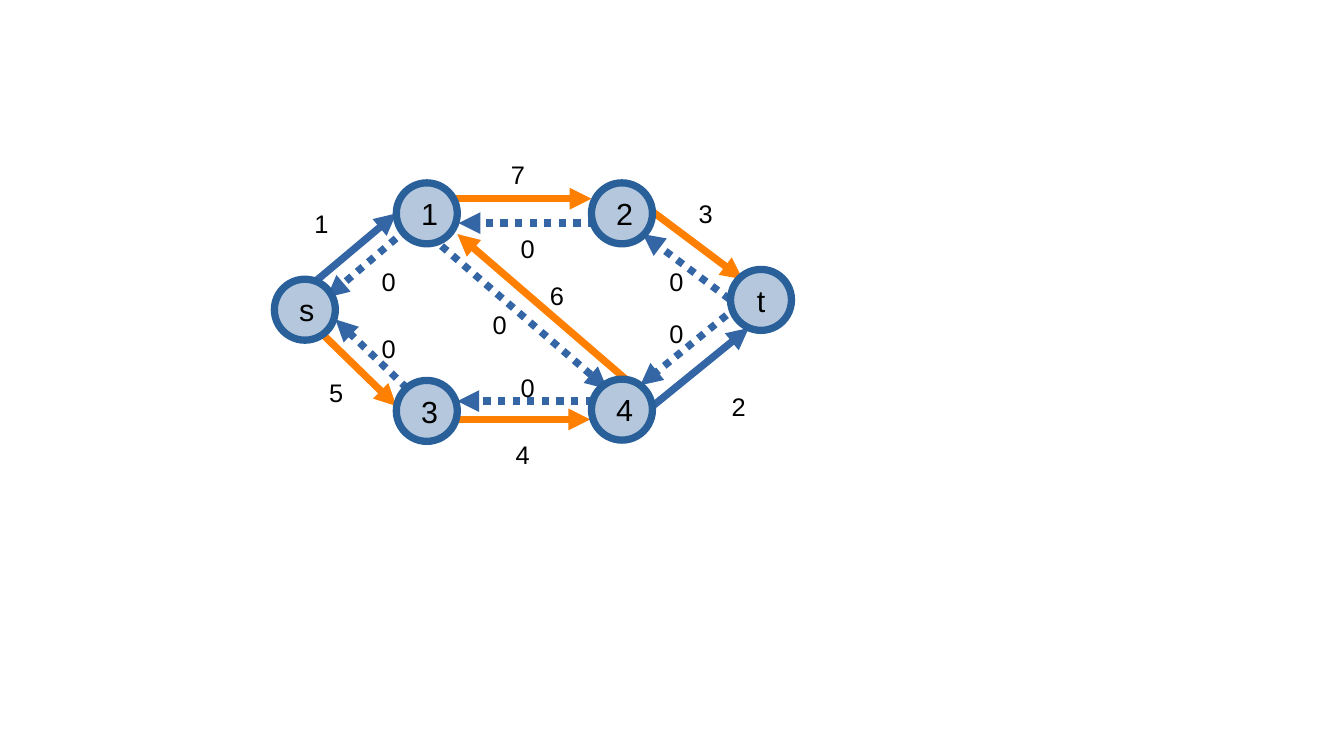
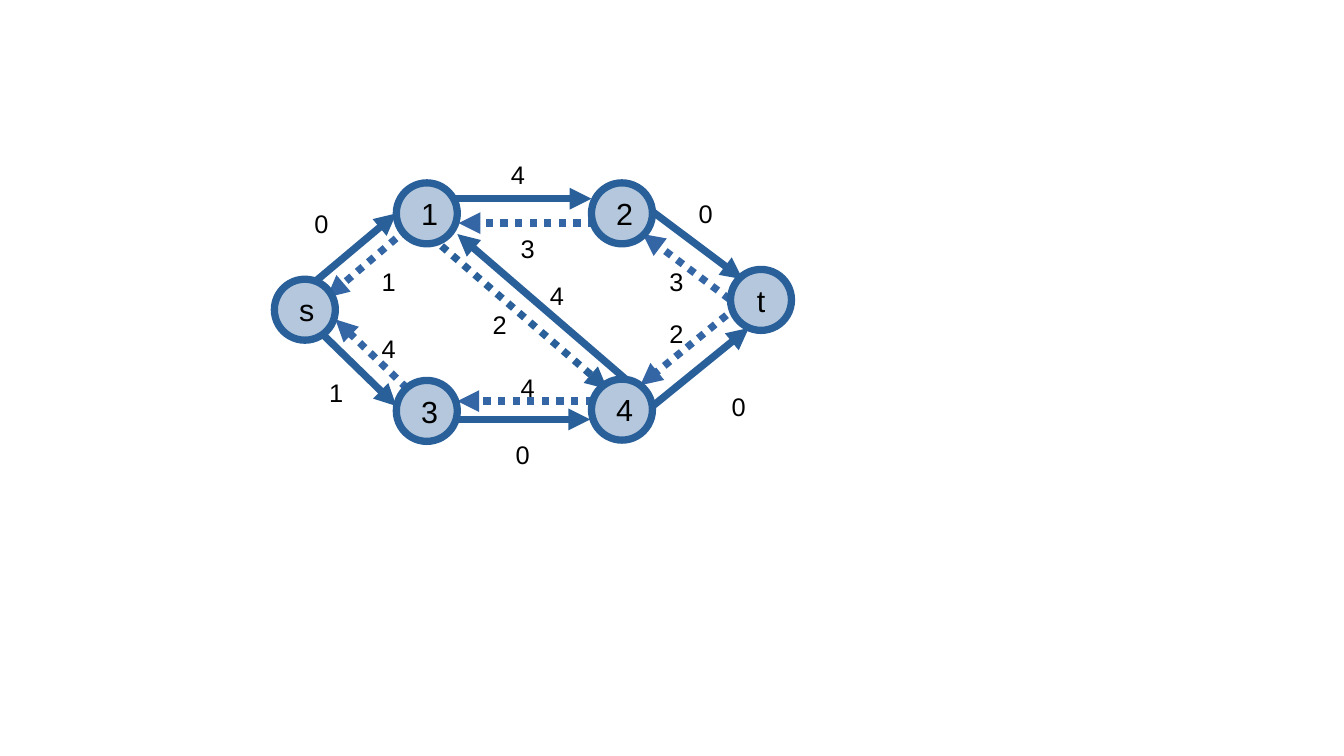
from lxml.etree import SubElement
from pptx import Presentation
from pptx.dml.color import RGBColor
from pptx.enum.dml import MSO_LINE
from pptx.enum.shapes import MSO_CONNECTOR, MSO_SHAPE
from pptx.enum.text import MSO_ANCHOR, MSO_AUTO_SIZE, PP_ALIGN
from pptx.oxml.ns import qn
from pptx.util import Emu, Pt

# Palette
BLUE, NAVY, ORANGE = "3465A4", "2A6099", "FF8000"
PALE, BLACK = "B4C7DC", "000000"

# Network: node positions, then edges as (name, residual, start, end, label)
NODES = {"s": (225, 229), "1": (325, 150), "2": (485, 150),
         "3": (325, 312), "4": (485, 311), "t": (599, 221)}
EDGES = [
    ("t4", True, (605, 251), (525, 316), (539, 256)),
    ("14", True, (353, 194), (498, 319), (394, 249)),
    ("41", False, (520, 317), (375, 192), (441, 225)),
    ("3s", True, (351, 335), (275, 262), (303, 268)),
    ("43", True, (510, 329), (375, 329), (417, 300)),
    ("t2", True, (627, 267), (527, 192), (539, 213)),
    ("21", True, (512, 183), (376, 183), (417, 186)),
    ("1s", True, (343, 180), (268, 244), (303, 213)),
    ("4t", False, (534, 334), (614, 269), (590, 316)),
    ("2t", False, (509, 154), (609, 229), (563, 158)),
    ("34", False, (349, 344), (484, 344), (413, 355)),
    ("12", False, (350, 163), (485, 163), (409, 126)),
    ("s3", False, (249, 259), (325, 333), (260, 304)),
    ("s1", False, (250, 238), (325, 175), (248, 166)),
]

# States: edge values (0 if absent) and edge colours (blue if absent)
BEFORE = ({"12": 7, "s1": 1, "s3": 5, "41": 6, "34": 4, "4t": 2, "2t": 3},
          dict.fromkeys(["s3", "34", "41", "12", "2t"], ORANGE))
AFTER = ({"12": 4, "s3": 1, "41": 4, "1s": 1, "21": 3, "t2": 3,
          "t4": 2, "43": 4, "14": 2, "3s": 4},
         dict.fromkeys(["s1", "s3", "34", "41", "14", "12", "2t", "4t"], NAVY))


def rgb(hex_string):
    return RGBColor.from_string(hex_string)


def px(n):
    """One px is a hundredth of an inch."""
    return Emu(n * 9144)


class Deck:
    FONT = "Arial"
    STROKE = Pt(4.31)
    NODE_SIZE = 50

    def __init__(self, width, height):
        self.prs = Presentation()
        self.prs.slide_width, self.prs.slide_height = px(width), px(height)
        self.s = None

    def new_slide(self):
        self.s = self.prs.slides.add_slide(self.prs.slide_layouts[6])

    def set_text(self, tf, text, size, margins):
        tf.margin_left = tf.margin_right = px(margins[0])
        tf.margin_top = tf.margin_bottom = px(margins[1])
        p = tf.paragraphs[0]
        p.text = text
        p.font.name, p.font.size = self.FONT, Pt(size)
        p.font.color.rgb = rgb(BLACK)
        return p

    def arrow(self, start, end, color, dotted):
        sp = self.s.shapes.add_connector(
            MSO_CONNECTOR.STRAIGHT, *map(px, start + end))
        sp.line.color.rgb = rgb(color)
        sp.line.width = self.STROKE
        if dotted:
            sp.line.dash_style = MSO_LINE.ROUND_DOT
        props = sp._element.spPr
        SubElement(props.find(qn("a:ln")), qn("a:tailEnd")).set("type", "triangle")
        SubElement(props, qn("a:effectLst"))

    def node(self, name, x, y):
        size = px(self.NODE_SIZE)
        sp = self.s.shapes.add_shape(MSO_SHAPE.OVAL, px(x), px(y), size, size)
        sp.shadow.inherit = False
        sp.fill.solid()
        sp.fill.fore_color.rgb = rgb(PALE)
        sp.line.color.rgb = rgb(NAVY)
        sp.line.width = self.STROKE
        tf = sp.text_frame
        tf.vertical_anchor = MSO_ANCHOR.MIDDLE
        self.set_text(tf, name, 18, (13, 8)).alignment = PP_ALIGN.CENTER

    def label(self, text, x, y):
        tf = self.s.shapes.add_textbox(px(x), px(y), px(31), px(33)).text_frame
        tf.word_wrap = False
        tf.auto_size = MSO_AUTO_SIZE.SHAPE_TO_FIT_TEXT
        self.set_text(tf, text, 15, (10, 5))

    def network(self, values, colors):
        self.new_slide()
        for name, residual, start, end, _ in EDGES:
            self.arrow(start, end, colors.get(name, BLUE), residual)
        for name, at in NODES.items():
            self.node(name, *at)
        for name, _, _, _, at in EDGES:
            self.label(str(values.get(name, 0)), *at)


def main():
    deck = Deck(1102, 620)
    for values, colors in (BEFORE, AFTER):
        deck.network(values, colors)
    deck.prs.save("out.pptx")


if __name__ == "__main__":
    main()
